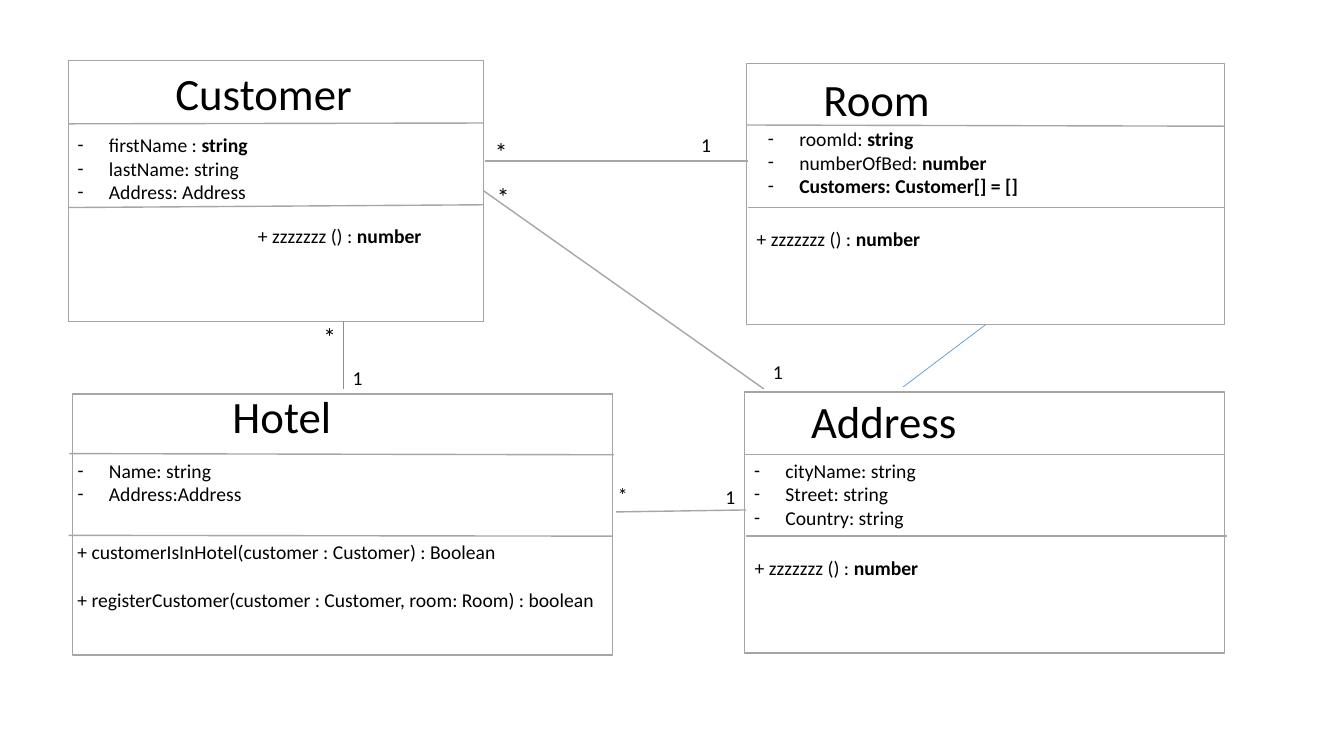
import pptx
import pptx.dml.color
import pptx.enum.shapes
import pptx.enum.text
import pptx.oxml
import pptx.oxml.ns
import pptx.util

Cm, Pt = pptx.util.Cm, pptx.util.Pt
COLORS = {"text": "000000", "paper": "FFFFFF", "frame": "A5A5A5",
          "rule": "A6A6A6", "link": "5B9BD5"}
FONT = "Calibri"
BOX_HEIGHT = 6.58


def rgb(name):
    return pptx.dml.color.RGBColor.from_string(COLORS[name])


def write(text, left, top, width, size=14, gap=0, bullet=None, holder=None):
    """Write lines of text; the part of a line after ** is bold."""
    lines = text.split("\n")
    height = len(lines) * size * 0.043 + 0.25 + gap * 0.035
    if holder is None:
        holder = slide.shapes.add_textbox(0, 0, 0, 0)
    holder.left, holder.top = Cm(left), Cm(top)
    holder.width, holder.height = Cm(width), Cm(height)
    frame = holder.text_frame
    frame.word_wrap = False
    frame.auto_size = pptx.enum.text.MSO_AUTO_SIZE.SHAPE_TO_FIT_TEXT
    frame.vertical_anchor = pptx.enum.text.MSO_ANCHOR.TOP
    for number, line in enumerate(lines):
        paragraph = frame.add_paragraph() if number else frame.paragraphs[0]
        paragraph.line_spacing = 1.0
        paragraph.space_before = Pt(gap if number else 0)
        if bullet:
            properties = paragraph._p.get_or_add_pPr()
            properties.set("marL", str(Cm(0.79)))
            properties.set("indent", str(-Cm(0.79)))
            ns = pptx.oxml.ns.nsdecls("a")
            for tag in (f'buFont {ns} typeface="{FONT}"', f'buChar {ns} char="{bullet}"'):
                properties.append(pptx.oxml.parse_xml(f"<a:{tag}/>"))
        for part, words in enumerate(line.split("**")):
            if words:
                run = paragraph.add_run()
                run.text = words
                run.font.name, run.font.size = FONT, Pt(size)
                run.font.bold = part == 1
                run.font.color.rgb = rgb("text")


# Slide
deck = pptx.Presentation()
deck.slide_width, deck.slide_height = Cm(33.87), Cm(19.05)
slide = deck.slides.add_slide(deck.slide_layouts[4])
title, *attribute_lists = list(slide.placeholders)
title.element.getparent().remove(title.element)

# Classes: frame, name, attributes and methods; places are in cm
classes = [
    dict(name="Customer", frame=(1.73, 1.52, 10.46), name_at=(4.17, 1.52, 5),
         attributes="firstName : **string\nlastName: string\nAddress: Address",
         attributes_at=(1.7, 3.23, 4.95),
         methods="+ zzzzzzz () : **number", methods_at=(6.25, 5.51, 4.65),
         dividers=[(1.73, 3.12, 12.19, 3.1), (1.73, 5.23, 12.19, 5.16)]),
    dict(name="Room", frame=(18.82, 1.6, 12.04), name_at=(20.5, 1.68, 3.23),
         attributes="roomId: **string\nnumberOfBed: **number\n**Customers: Customer[] = []",
         attributes_at=(19.1, 3.07, 6.86),
         methods="+ zzzzzzz () : **number", methods_at=(18.82, 5.59, 4.65),
         dividers=[(18.82, 3.15, 30.86, 3.18), (18.85, 5.23, 30.86, 5.23)]),
    dict(name="Hotel", frame=(1.83, 9.93, 13.61), name_at=(5.61, 9.68, 3.02),
         attributes="Name: string\nAddress:Address",
         attributes_at=(1.7, 11.43, 4.85),
         methods="+ customerIsInHotel(customer : Customer) : Boolean\n"
                 "+ registerCustomer(customer : Customer, room: Room) : boolean",
         methods_at=(1.7, 13.49, 13.64),
         dividers=[(1.75, 11.43, 15.47, 11.46), (1.73, 13.49, 15.44, 13.51)]),
    dict(name="Address", frame=(18.77, 9.88, 12.09), name_at=(20.19, 9.8, 4.22),
         attributes="cityName: string\nStreet: string\nCountry: string",
         attributes_at=(18.75, 11.43, 4.62),
         methods="+ zzzzzzz () : **number", methods_at=(18.77, 13.89, 4.65),
         dividers=[(18.77, 11.46, 30.86, 11.46), (18.8, 13.51, 30.91, 13.51)]),
]
frames = {}
for entry, attribute_list in zip(classes, attribute_lists):
    left, top, width = entry["frame"]
    frame_box = slide.shapes.add_shape(pptx.enum.shapes.MSO_SHAPE.RECTANGLE,
                                       Cm(left), Cm(top), Cm(width), Cm(BOX_HEIGHT))
    frame_box.shadow.inherit = False
    frame_box.fill.solid()
    frame_box.fill.fore_color.rgb = rgb("paper")
    frame_box.line.color.rgb = rgb("frame")
    frame_box.line.width = Pt(1)
    frames[entry["name"]] = frame_box
    write(entry["name"], *entry["name_at"], size=32)
    # Bring the list in front of its frame
    slide.shapes.element.append(attribute_list.element)
    write(entry["attributes"], *entry["attributes_at"], bullet="-", holder=attribute_list)
    write(entry["methods"], *entry["methods_at"], gap=17)

# Dividers and associations: ends, colour, width, frame joined at the start
rules = [(ends, "rule", 1, None) for entry in classes for ends in entry["dividers"]]
rules += [
    ((12.22, 4.06, 18.85, 4.06), "rule", 1, None),
    ((8.66, 9.8, 8.66, 8.1), "link", 0.5, None),
    ((15.52, 12.9, 18.8, 12.85), "rule", 1, None),
    ((24.84, 8.18, 22.76, 9.75), "link", 0.5, ("Room", 2)),
    ((12.19, 4.8, 19.25, 9.8), "rule", 1, ("Customer", 3)),
]
for ends, color, weight, joined in rules:
    rule = slide.shapes.add_connector(pptx.enum.shapes.MSO_CONNECTOR.STRAIGHT,
                                      *[Cm(value) for value in ends])
    rule.line.color.rgb = rgb(color)
    rule.line.width = Pt(weight)
    rule._element.spPr.append(
        pptx.oxml.parse_xml(f'<a:effectLst {pptx.oxml.ns.nsdecls("a")}/>'))
    if joined:
        rule.begin_connect(frames[joined[0]], joined[1])

# Multiplicities
for mark, left, top, size in [
    ("*", 12.22, 3.3, 18), ("1", 17.42, 3.23, 14),
    ("*", 7.9, 7.98, 18), ("1", 8.64, 9.09, 14),
    ("*", 15.32, 12.04, 14), ("1", 18.03, 12.09, 14),
    ("*", 12.27, 4.45, 18), ("1", 19.23, 8.94, 14),
]:
    write(mark, left, top, 0.84 if size == 18 else 0.76, size=size)

deck.save("out.pptx")
